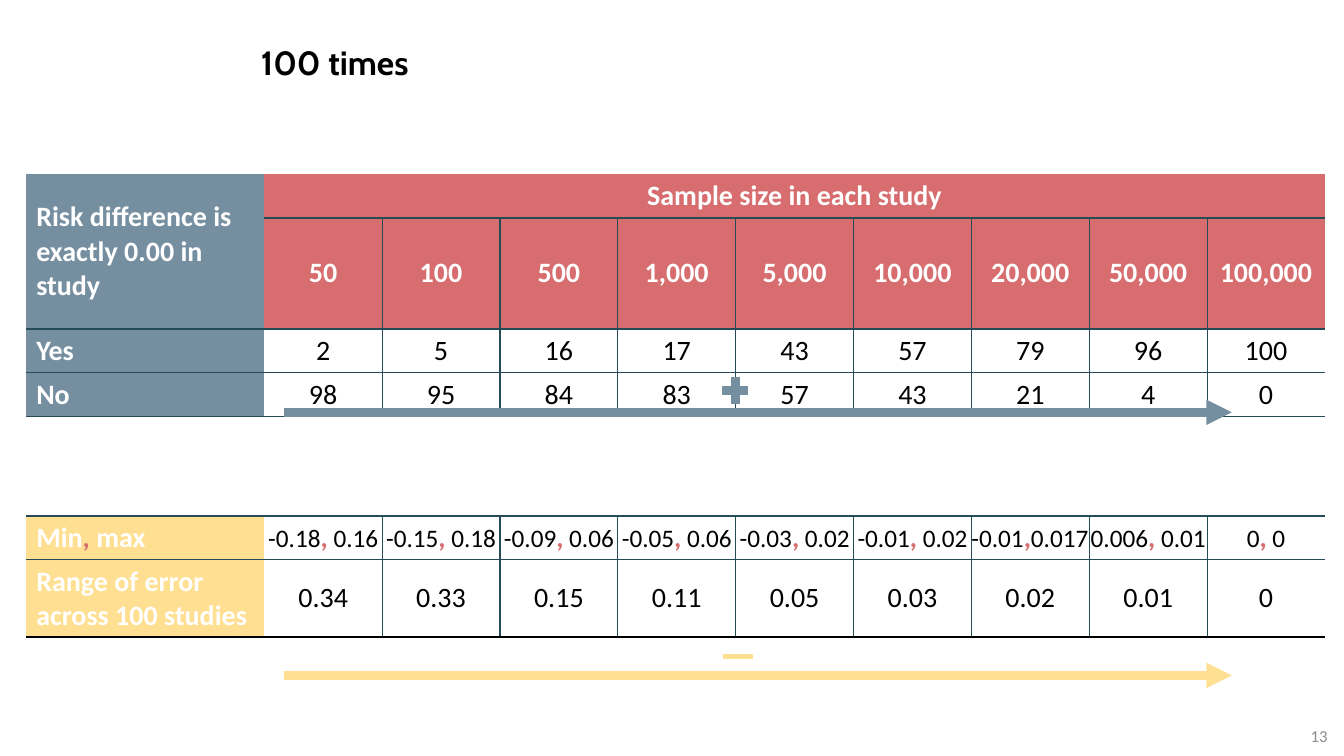
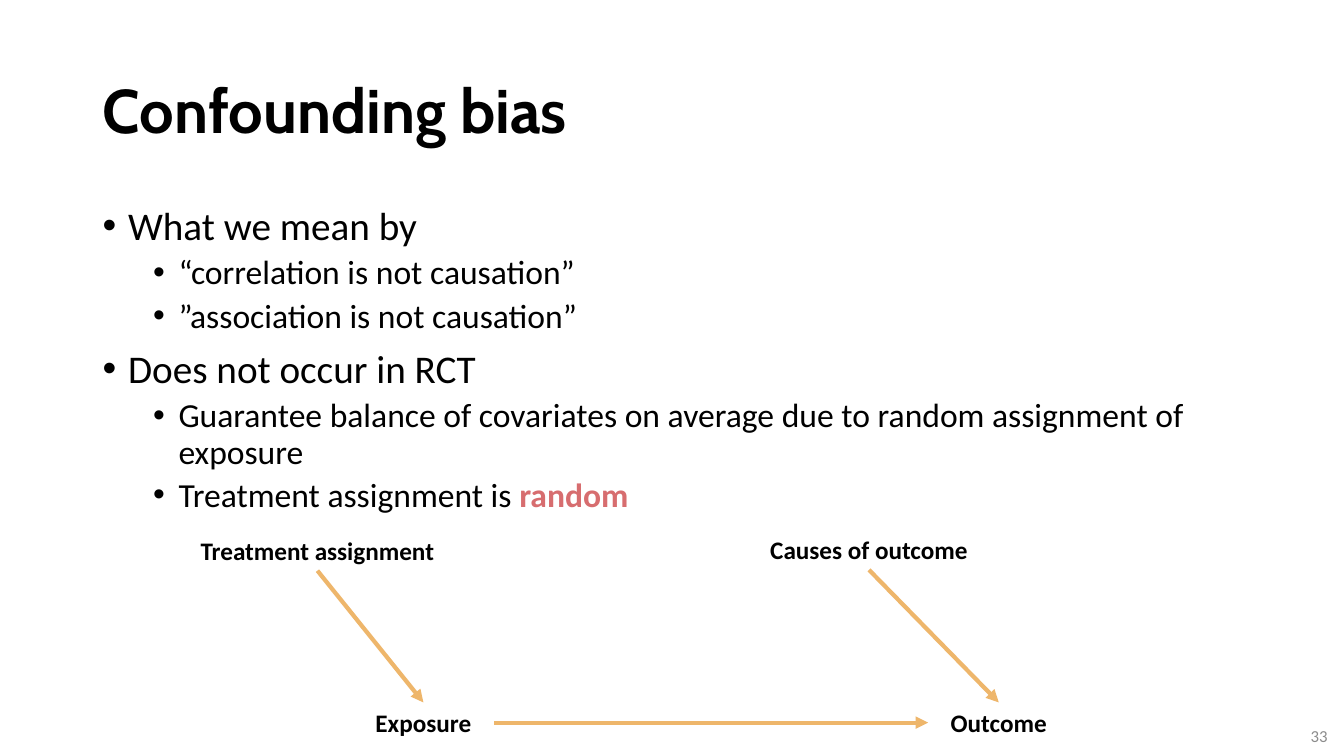
from lxml.etree import SubElement
from pptx import Presentation
from pptx.dml.color import RGBColor
from pptx.enum.shapes import MSO_CONNECTOR as Connector, MSO_SHAPE as Shape
from pptx.enum.text import MSO_ANCHOR as Anchor, MSO_AUTO_SIZE as AutoSize, PP_ALIGN as Align
from pptx.oxml.ns import qn
from pptx.util import Cm, Pt

BLACK = RGBColor(0x00, 0x00, 0x00)
WHITE = RGBColor(0xFF, 0xFF, 0xFF)
GREY = RGBColor(0x8C, 0x8C, 0x8C)
SLATE = RGBColor(0x75, 0x8F, 0xA1)
RED = RGBColor(0xD7, 0x6D, 0x6F)
YELLOW = RGBColor(0xFF, 0xDF, 0x92)
ORANGE = RGBColor(0xEE, 0xB6, 0x6B)
TEAL = RGBColor(0x25, 0x4B, 0x56)

BODY = {"name": "Calibri", "size": Pt(20), "bold": False, "color": BLACK}
HEADER = {**BODY, "bold": True, "color": WHITE}
ACCENT = {"bold": True, "color": RED}
TITLE = {"name": "Cabin", "bold": True, "color": BLACK}
LABEL = {**BODY, "size": Pt(18), "bold": True}
NUMBER = {**BODY, "size": Pt(12), "color": GREY}

TABLE_LEFT, LABEL_WIDTH, VALUE_WIDTH, ROW_HEIGHT = 0.66, 6, 2.97, 1.04

STUDIES = [
    ["Risk difference is exactly 0.00 in study", "Sample size in each study"] + [""] * 8,
    ["", "50", "100", "500", "1,000", "5,000", "10,000", "20,000", "50,000", "100,000"],
    ["Yes", "2", "5", "16", "17", "43", "57", "79", "96", "100"],
    ["No", "98", "95", "84", "83", "57", "43", "21", "4", "0"],
]
ERRORS = [
    ["Min, max", "-0.18, 0.16", "-0.15, 0.18", "-0.09, 0.06", "-0.05, 0.06", "-0.03, 0.02",
     "-0.01, 0.02", "-0.01,0.017", "0.006, 0.01", "0, 0"],
    ["Range of error across 100 studies", "0.34", "0.33", "0.15", "0.11", "0.05", "0.03",
     "0.02", "0.01", "0"],
]
TREND_ARROWS = [(10.39, SLATE), (17.02, YELLOW)]
SIGNS = [
    (Shape.MATH_MINUS, (18.11, 16.33, 0.99, 0.43), YELLOW),
    (Shape.MATH_PLUS, (18.11, 9.4, 0.84, 0.89), SLATE),
]

BULLETS = [
    (0, ["What we mean by"]),
    (1, ["“correlation is not causation”"]),
    (1, ["”association is not causation”"]),
    (0, ["Does not occur in RCT"]),
    (1, ["Guarantee balance of covariates on average due to random assignment of exposure"]),
    (1, ["Treatment assignment is ", "random"]),
]
BULLET_LEVELS = [
    {"indent": 0.64, "size": Pt(28), "before": Pt(10)},
    {"indent": 1.91, "size": Pt(24), "before": Pt(5)},
]
NODES = {
    "Exposure": (8.89, 17.7, 3.56, 1.02),
    "Outcome": (23.39, 17.7, 3.56, 1.02),
    "Treatment assignment": (4.57, 13.36, 6.86, 1.02),
    "Causes of outcome": (18.47, 13.34, 6.86, 1.02),
}
TOP, LEFT, BOTTOM, RIGHT = range(4)
EDGES = [
    ("Treatment assignment", BOTTOM, "Exposure", TOP),
    ("Exposure", RIGHT, "Outcome", LEFT),
    ("Causes of outcome", BOTTOM, "Outcome", TOP),
]


def cms(*values):
    return [Cm(value) for value in values]


def add_span(para, text, style):
    span = para.add_run()
    span.text = text
    for key, value in style.items():
        if key == "color":
            span.font.color.rgb = value
        else:
            setattr(span.font, key, value)


def add_text(slide, place, text, style, align=Align.LEFT, **frame_format):
    box = slide.shapes.add_textbox(*cms(*place))
    for key, value in {"word_wrap": True, **frame_format}.items():
        setattr(box.text_frame, key, value)
    para = box.text_frame.paragraphs[0]
    para.alignment = align
    add_span(para, text, style)
    return box


def add_slide(deck, title, place, size, anchor, number):
    slide = deck.slides.add_slide(deck.slide_layouts[5])
    holder = slide.shapes.title
    holder.left, holder.top, holder.width, holder.height = cms(*place)
    frame = holder.text_frame
    frame.word_wrap, frame.auto_size, frame.vertical_anchor = True, AutoSize.NONE, anchor
    para = frame.paragraphs[0]
    para.alignment, para.line_spacing = Align.LEFT, 0.9
    add_span(para, title, {**TITLE, "size": size})
    add_text(slide, (26.09, 18.03, 7.62, 1.02), number, NUMBER, Align.RIGHT,
             vertical_anchor=Anchor.MIDDLE)
    return slide


def add_arrow(slide, ends, color, width):
    arrow = slide.shapes.add_connector(Connector.STRAIGHT, *cms(*ends))
    arrow.line.color.rgb = color
    arrow.line.width = width
    properties = arrow.element.spPr
    SubElement(properties.find(qn("a:ln")), qn("a:tailEnd"), type="triangle")
    SubElement(properties, qn("a:effectLst"))
    return arrow


def set_borders(cell, colors):
    properties = cell._tc.get_or_add_tcPr()
    for side in "LRTB":
        line = SubElement(properties, qn(f"a:ln{side}"), w=str(Pt(1)))
        if side in colors:
            fill = SubElement(line, qn("a:solidFill"))
            SubElement(fill, qn("a:srgbClr"), val=str(colors[side]))
        else:
            SubElement(line, qn("a:noFill"))


def fill_cell(cell, text, style, fill, colors, align, pairs):
    set_borders(cell, colors)
    cell.fill.solid()
    cell.fill.fore_color.rgb = fill
    cell.vertical_anchor = Anchor.MIDDLE
    para = cell.text_frame.paragraphs[0]
    para.alignment = align
    if pairs and "," in text:
        first, comma, last = text.partition(",")
        small = style if style is HEADER else {**style, "size": Pt(18)}
        for part, part_style in ((first, small), (comma, {**style, **ACCENT}), (last, small)):
            add_span(para, part, part_style)
    elif text:
        add_span(para, text, style)


def add_grid(slide, top, rows, label_fill, header_rows=0, pairs=False, base=TEAL):
    last = len(rows[0]) - 1
    width = LABEL_WIDTH + last * VALUE_WIDTH
    table = slide.shapes.add_table(
        len(rows), last + 1, *cms(TABLE_LEFT, top, width, ROW_HEIGHT * len(rows))).table
    table.first_row = table.horz_banding = False
    for index, column in enumerate(table.columns):
        column.width = Cm(VALUE_WIDTH if index else LABEL_WIDTH)
    for r, row in enumerate(rows):
        for c, text in enumerate(row):
            cell = table.cell(r, c)
            in_header = r < header_rows
            sides = "B"
            if r or not header_rows:
                sides += "T"
                sides += ("L" if c > 1 else "") + ("R" if 0 < c < last else "")
            if in_header and c == 0:
                sides = "B" if r == header_rows - 1 else ""
            colors = {side: TEAL for side in sides}
            if r == len(rows) - 1:
                colors["B"] = base
            fill = label_fill if c == 0 else RED if in_header else WHITE
            tight = pairs and "," in text and ", " not in text
            align = Align.LEFT if c == 0 or tight else Align.CENTER
            if pairs and c:
                cell.margin_left = cell.margin_right = 0
            fill_cell(cell, text, HEADER if c == 0 or in_header else BODY, fill, colors, align, pairs)
    if header_rows:
        table.cell(0, 0).merge(table.cell(header_rows - 1, 0))
        table.cell(0, 1).merge(table.cell(0, last))


def build_studies(deck):
    slide = add_slide(deck, "100 times", (6.32, 1.04, 4.8, 1.27), Pt(24), Anchor.TOP, "13")
    add_grid(slide, 4.39, STUDIES, SLATE, header_rows=2)
    add_grid(slide, 13, ERRORS, YELLOW, pairs=True, base=BLACK)
    for y, color in TREND_ARROWS:
        add_arrow(slide, (7.16, y, 31.04, y), color, Pt(6))
    for kind, place, color in SIGNS:
        sign = slide.shapes.add_shape(kind, *cms(*place))
        sign.shadow.inherit = False
        sign.fill.solid()
        sign.fill.fore_color.rgb = sign.line.color.rgb = color
        sign.line.width = Pt(1)


def build_confounding(deck):
    slide = add_slide(deck, "Confounding bias", (2.34, 1.02, 29.21, 3.68), Pt(44),
                      Anchor.MIDDLE, "33")
    frame = slide.shapes.add_textbox(*cms(2.34, 5.08, 29.21, 12.09)).text_frame
    frame.word_wrap = True
    for index, (level, parts) in enumerate(BULLETS):
        look = BULLET_LEVELS[level]
        para = frame.add_paragraph() if index else frame.paragraphs[0]
        para.level, para.line_spacing = level, 0.9
        para.space_before = look["before"] if index else Pt(0)
        properties = para._p.get_or_add_pPr()
        properties.set("marL", str(Cm(look["indent"])))
        properties.set("indent", str(-Cm(0.64)))
        SubElement(properties, qn("a:buFont"), typeface="Arial")
        SubElement(properties, qn("a:buChar"), char="•")
        for position, text in enumerate(parts):
            add_span(para, text, {**BODY, "size": look["size"], **(ACCENT if position else {})})
    nodes = {name: add_text(slide, place, name, LABEL, Align.CENTER,
                            auto_size=AutoSize.SHAPE_TO_FIT_TEXT)
             for name, place in NODES.items()}
    for start, start_side, end, end_side in EDGES:
        arrow = add_arrow(slide, (0, 0, 0, 0), ORANGE, Pt(3))
        arrow.begin_connect(nodes[start], start_side)
        arrow.end_connect(nodes[end], end_side)


def main():
    deck = Presentation()
    deck.slide_width, deck.slide_height = cms(33.87, 19.05)
    build_studies(deck)
    build_confounding(deck)
    deck.save("out.pptx")


if __name__ == "__main__":
    main()
